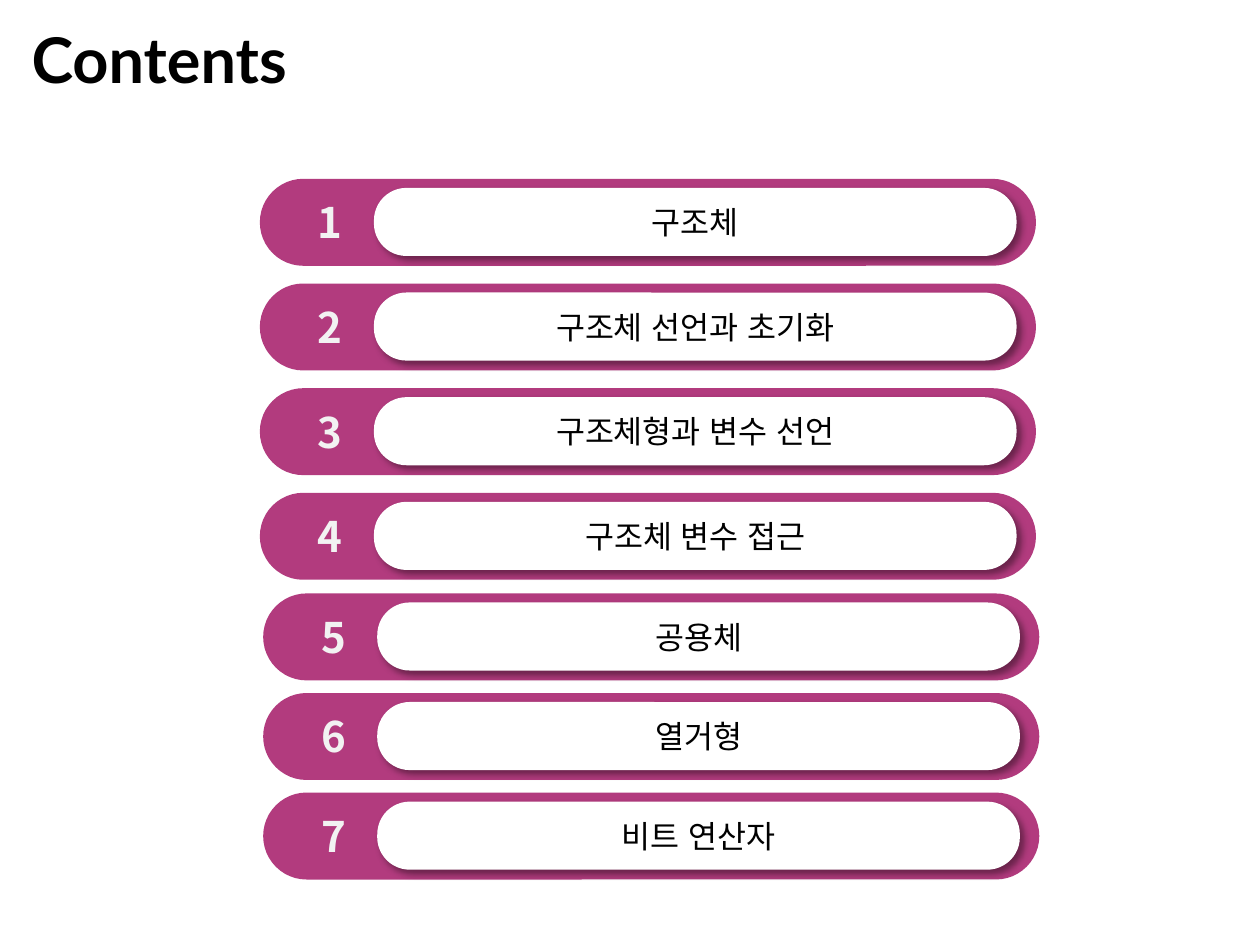
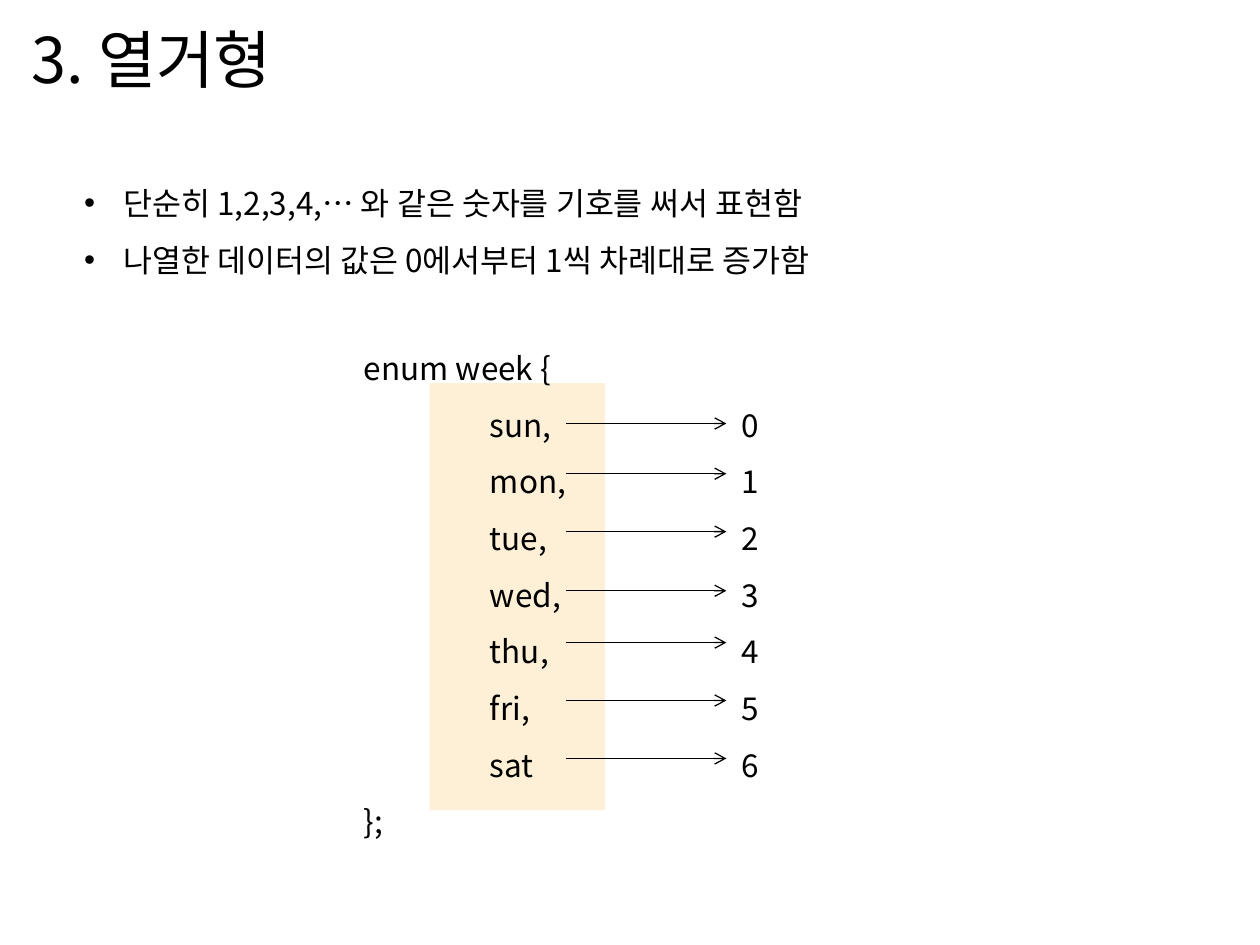
from lxml import etree
from pptx import Presentation
from pptx.dml.color import RGBColor
from pptx.enum import shapes as sh, text as tx
from pptx.oxml import ns
from pptx.util import Pt

BLACK = RGBColor(0x00, 0x00, 0x00)
WHITE = RGBColor(0xFF, 0xFF, 0xFF)
PALE = RGBColor(0xF2, 0xF2, 0xF2)
PINK = RGBColor(0xB2, 0x3B, 0x7E)
CREAM = RGBColor(0xFE, 0xF0, 0xD7)
NOTO = "Noto Sans CJK KR"

HEAD = dict(name=NOTO, size=Pt(36), bold=False, color=BLACK)
BODY = dict(HEAD, size=Pt(18))
ITEM = dict(BODY, name="Arial")
NUM = dict(HEAD, size=Pt(24), bold=True, color=PALE)

TOPICS = ["구조체", "구조체 선언과 초기화", "구조체형과 변수 선언", "구조체 변수 접근",
          "공용체", "열거형", "비트 연산자"]
POINTS = ["단순히 1,2,3,4,… 와 같은 숫자를 기호를 써서 표현함",
          "나열한 데이터의 값은 0에서부터 1씩 차례대로 증가함"]
DAYS = ["sun,", "mon,", "tue,", "wed,", "thu,", "fri,", "sat"]
DROPS = [57, 85.7, 118.8, 152.6, 182.2, 215.3, 248.4]


def add(node, tag, **attrs):
    """Append a drawing element with the given attributes."""
    return etree.SubElement(node, ns.qn(tag), {k: str(v) for k, v in attrs.items()})


def style(run, fmt):
    """Set a run's font from a dict of format values."""
    for key, val in fmt.items():
        if key == "color":
            run.font.color.rgb = val
        else:
            setattr(run.font, key, val)
    add(run.font._element, "a:ea", typeface=fmt["name"])


def write(para, words, fmt, **props):
    """Write one formatted run and set the paragraph's properties."""
    run = para.add_run()
    run.text = words
    style(run, fmt)
    for key, val in props.items():
        setattr(para, key, val)


def title(deck, words, fmt, wide):
    """Add a title-only slide and format its title."""
    slide = deck.slides.add_slide(deck.slide_layouts[5])
    head = slide.shapes.title
    spots = dict(left=10.8, top=8.6, width=wide, height=49.7)
    for key, val in spots.items():
        setattr(head, key, Pt(val))
    frame = head.text_frame
    frame.auto_size = tx.MSO_AUTO_SIZE.NONE
    frame.vertical_anchor = tx.MSO_ANCHOR.MIDDLE
    write(frame.paragraphs[0], words, fmt, alignment=tx.PP_ALIGN.LEFT)
    return slide


def block(slide, kind, box, fill):
    """Add a plain filled shape."""
    shape = slide.shapes.add_shape(kind, *map(Pt, box))
    shape.shadow.inherit = False
    shape.fill.solid()
    shape.fill.fore_color.rgb = fill
    shape.line.fill.background()
    return shape


def pill(slide, box, fill, bend):
    """Add a rounded bar."""
    shape = block(slide, sh.MSO_SHAPE.ROUNDED_RECTANGLE, box, fill)
    shape.adjustments[0] = bend
    return shape


def shade(shape):
    """Give a shape a soft shadow to the lower right."""
    fx = shape._element.spPr.find(ns.qn("a:effectLst"))
    cast = add(fx, "a:outerShdw", blurRad=Pt(4), dist=Pt(3), dir=45 * 60000,
               algn="tl", rotWithShape=0)
    add(add(cast, "a:srgbClr", val=BLACK), "a:alpha", val=40000)


def label(slide, box):
    """Add an empty wrapping text box and return its frame."""
    frame = slide.shapes.add_textbox(*map(Pt, box)).text_frame
    frame.word_wrap = True
    return frame


def row(slide, x, y, num, words):
    """Draw one numbered contents bar."""
    pill(slide, (x, y, 443.5, 49.7), PINK, 0.5)
    frame = label(slide, (x + 19.2, y + 6.7, 41.8, 36))
    write(frame.paragraphs[0], str(num), NUM, alignment=tx.PP_ALIGN.CENTER)
    cap = pill(slide, (x + 65.2, y + 5.2, 367.2, 38.9), WHITE, 0.478)
    shade(cap)
    cap.text_frame.vertical_anchor = tx.MSO_ANCHOR.MIDDLE
    write(cap.text_frame.paragraphs[0], words, ITEM, alignment=tx.PP_ALIGN.CENTER)


def menu(slide, x, y):
    """Stack the contents bars: four wide steps, then three tighter ones."""
    for i, words in enumerate(TOPICS):
        late = i > 3
        top = y + 236.9 + (i - 4) * 56.9 if late else y + i * 59.8
        row(slide, x + 1.9 * late, top, i + 1, words)


def lines(frame, rows, prep):
    """Fill a frame with spaced lines, preparing each paragraph first."""
    for i, words in enumerate(rows):
        para = frame.add_paragraph() if i else frame.paragraphs[0]
        prep(para._p.get_or_add_pPr())
        write(para, words, BODY, line_spacing=1.5)


def dot(props):
    """Give a paragraph a hanging bullet."""
    props.set("marL", str(Pt(22.5)))
    props.set("indent", str(Pt(-22.5)))
    add(props, "a:buFont", typeface="Arial")
    add(props, "a:buChar", char="•")


def tabs(props):
    """Set tab stops an inch apart."""
    stops = add(props, "a:tabLst")
    for i in range(1, 4):
        add(stops, "a:tab", pos=Pt(72 * i), algn="l")


def arrow(slide, x, y, wide):
    """Draw a thin arrow to the right."""
    link = slide.shapes.add_connector(sh.MSO_CONNECTOR.STRAIGHT,
                                      Pt(x), Pt(y), Pt(x + wide), Pt(y))
    link.line.color.rgb = BLACK
    link.line.width = Pt(0.75)
    add(link.line._get_or_add_ln(), "a:tailEnd", type="arrow")
    add(link._element.spPr, "a:effectLst")


def code(slide, x, y):
    """Show the enum with its values and arrows."""
    block(slide, sh.MSO_SHAPE.RECTANGLE, (x + 44.6, y + 33.9, 100.1, 244.1), CREAM)
    rows = [f"\t{day}\t\t{i}" for i, day in enumerate(DAYS)]
    lines(label(slide, (x, y, 243.4, 301.7)), ["enum week {", *rows, "};"], tabs)
    for drop in DROPS:
        arrow(slide, x + 122.4, y + drop, 91.8)


def main():
    """Build and save both slides."""
    deck = Presentation()
    deck.slide_width, deck.slide_height = Pt(720), Pt(540)
    menu(title(deck, "Contents", dict(HEAD, name="Lato", bold=True), 343.4), 148.5, 102.2)
    slide = title(deck, "3. 열거형", HEAD, 648)
    code(slide, 200.9, 185)
    lines(label(slide, (41, 90.7, 479.5, 72.7)), POINTS, dot)
    deck.save("out.pptx")


if __name__ == "__main__":
    main()
